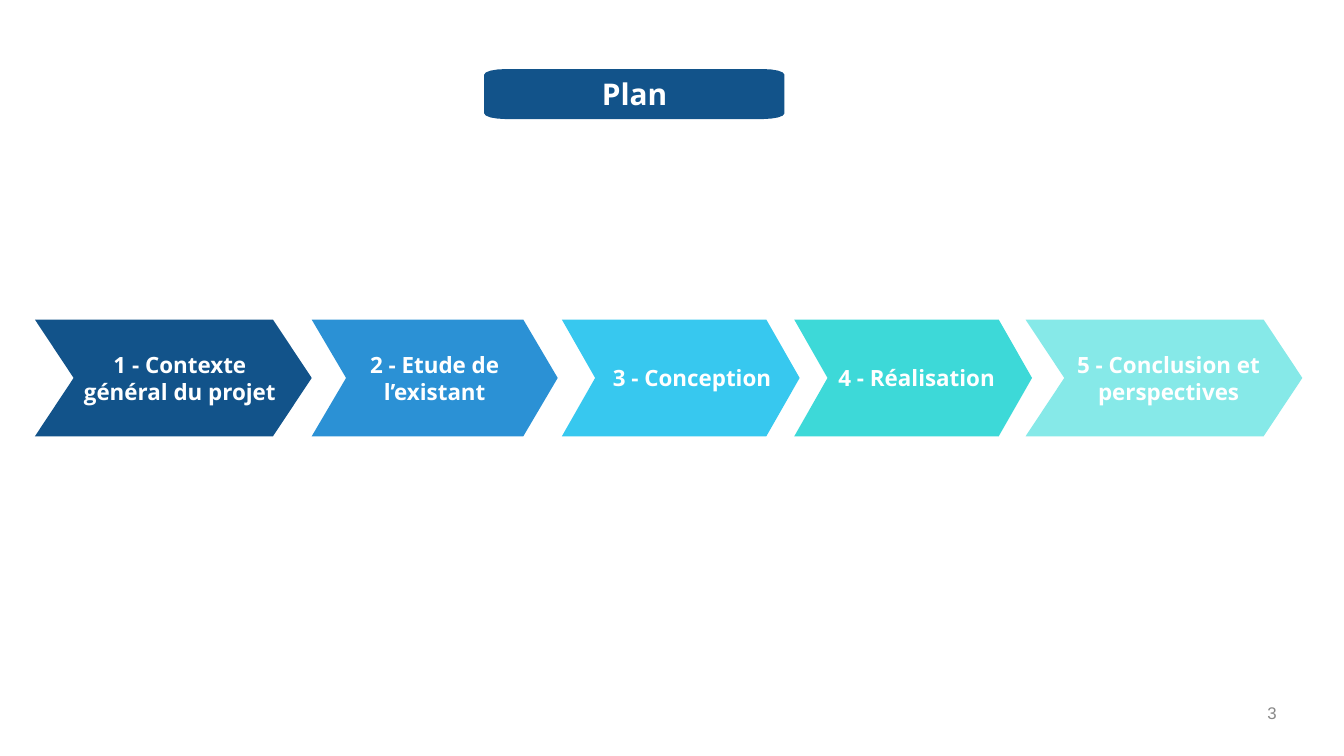
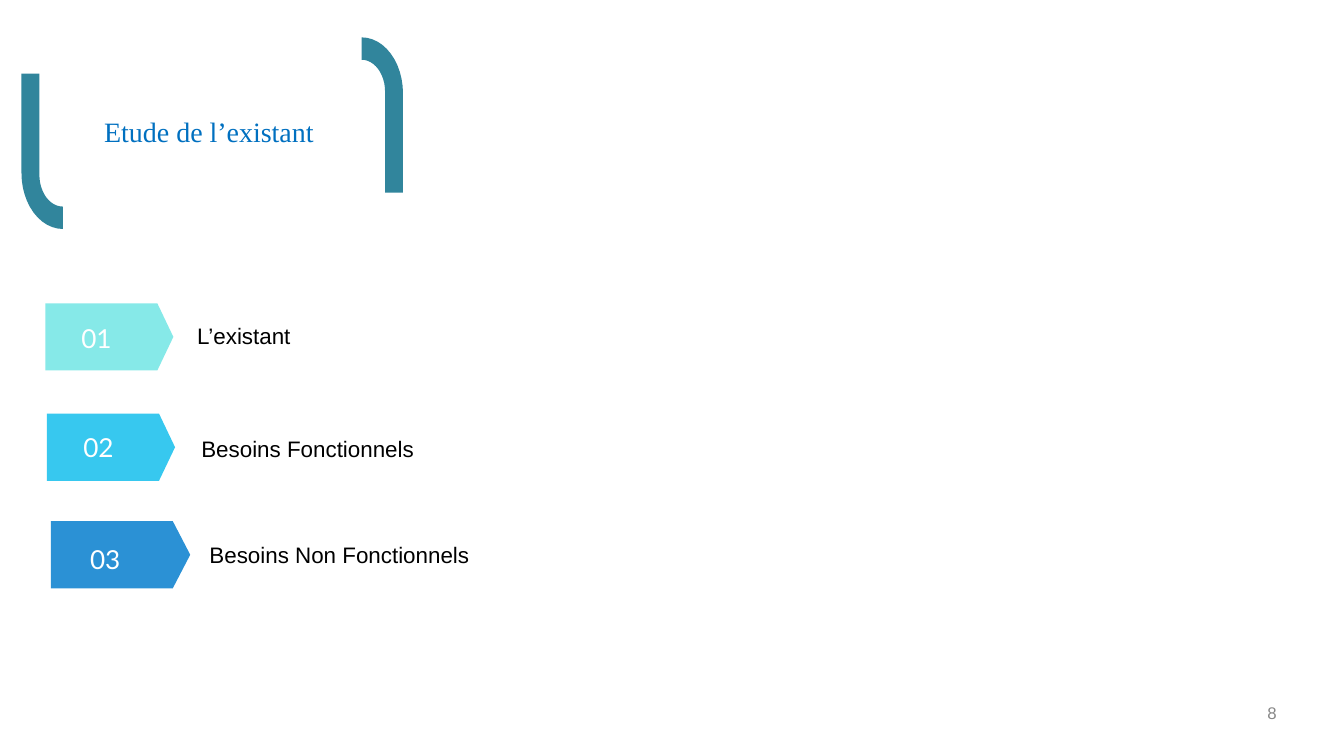
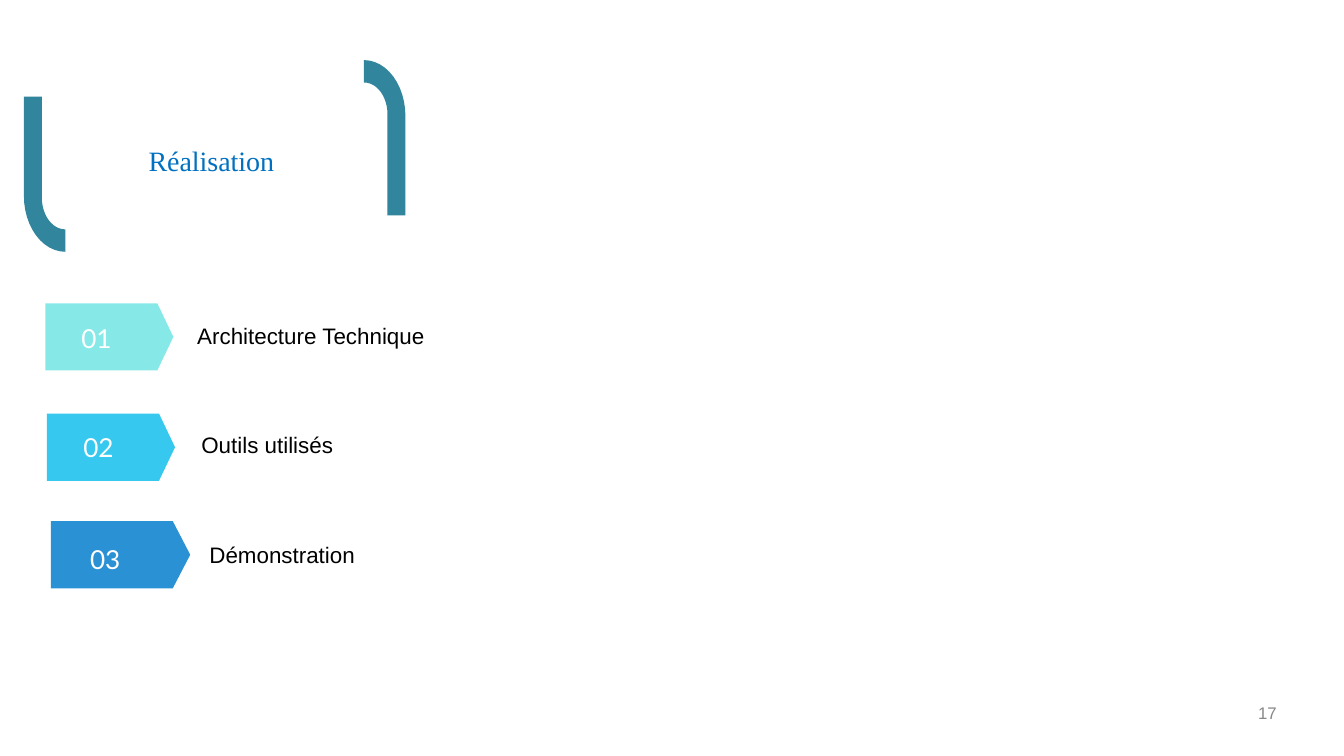
from math import cos, pi, sin

from pptx import Presentation
from pptx.dml.color import RGBColor
from pptx.enum.shapes import MSO_SHAPE
from pptx.enum.text import MSO_ANCHOR, MSO_AUTO_SIZE, PP_ALIGN
from pptx.util import Pt

CHEVRON, TAG = MSO_SHAPE.CHEVRON, MSO_SHAPE.PENTAGON
LEFT, CENTER, RIGHT = PP_ALIGN.LEFT, PP_ALIGN.CENTER, PP_ALIGN.RIGHT
TOP, MIDDLE = MSO_ANCHOR.TOP, MSO_ANCHOR.MIDDLE
FIXED = MSO_AUTO_SIZE.NONE

COLORS = {
    "navy": "12538A", "blue": "2B91D5", "sky": "37C8EF", "teal": "3DD9D8",
    "mint": "86E9E8", "frame": "31859C", "head": "0070C0",
    "white": "FFFFFF", "black": "000000", "gray": "888888",
}
STYLES = {
    "plan": ("Open Sans", 16, "white", True),
    "step": ("Open Sans", 12, "white", True),
    "head": ("Times New Roman", 15, "head", False),
    "item": ("Arial", 12, "black", False),
    "count": ("Lato", 14, "white", False),
    "page": ("Arial", 9, "gray", False),
}
STEPS = [
    ("1 - Contexte général du projet", "navy", 18.7, 148.3, 12.2, 131, 2, CENTER),
    ("2 - Etude de l’existant", "blue", 167, 131.8, 2.2, 127.4, 2, CENTER),
    ("3 - Conception", "sky", 301, 127.4, 15.8, 108, 1, CENTER),
    ("4 - Réalisation", "teal", 425.5, 127.4, 16.6, 108, 1, LEFT),
    ("5 - Conclusion et perspectives", "mint", 549.4, 148.3, 13, 127.4, 2, CENTER),
]
TAGS = [
    ("mint", (24.3, 162.5, 68.6), (9.4, 2.2, 36, 31), (74.3, 227)),
    ("sky", (25.2, 221.6, 68.6), (8.6, 0, 38, 34), (75.6, 153)),
    ("blue", (27.2, 279.2, 74.7), (10.2, 2.2, 38, 34), (77.9, 167)),
]
TAG_HIGH = 36
TOPICS = [
    ("Etude de l’existant", 8, (11.5, 20), 37.5,
     [("L’existant", 6.5), ("Besoins Fonctionnels", 8), ("Besoins Non Fonctionnels", 7.2)]),
    ("Réalisation", 17, (12.8, 32.2), 41,
     [("Architecture Technique", 6.5), ("Outils utilisés", 6), ("Démonstration", 7.2)]),
]


def color(name):
    """Return the named colour."""
    return RGBColor.from_string(COLORS[name])


def place(shape, box):
    """Move and size a shape to a box in points."""
    shape.left, shape.top, shape.width, shape.height = map(Pt, box)


def paint(shape, fill):
    """Give a shape a flat fill with no line or shadow."""
    shape.shadow.inherit = False
    shape.fill.solid()
    shape.fill.fore_color.rgb = color(fill)
    shape.line.fill.background()


def write(shape, text, style, align=LEFT, inset=(7.2, 3.6), anchor=TOP):
    """Set the text of a shape in a named style."""
    frame = shape.text_frame
    frame.word_wrap = True
    frame.auto_size = FIXED
    frame.vertical_anchor = anchor
    frame.margin_left = frame.margin_right = Pt(inset[0])
    frame.margin_top = frame.margin_bottom = Pt(inset[1])
    frame.text = text
    line = frame.paragraphs[0]
    line.alignment = align
    name, size, ink, bold = STYLES[style]
    font = line.font
    font.name, font.size, font.bold = name, Pt(size), bold
    font.color.rgb = color(ink)
    return line


def label(slide, box, *args, **more):
    """Add a text box and return its paragraph."""
    return write(slide.shapes.add_textbox(*map(Pt, box)), *args, **more)


def title(slide, box, text, style):
    """Put the title in its box, in front of other parts."""
    shape = slide.shapes.title
    place(shape, box)
    write(shape, text, style, CENTER)
    shape.element.getparent().append(shape.element)


def arc(mid, radii, start, end, parts):
    """Return points along an elliptic arc, angles in quarter turns."""
    turns = [(start + (end - start) * i / parts) * pi / 2 for i in range(parts + 1)]
    return [(mid[0] + radii[0] * cos(t), mid[1] + radii[1] * sin(t)) for t in turns]


def outline(slide, left, top, points, fill):
    """Draw a closed outline from points relative to its corner."""
    dots = [(Pt(left + x), Pt(top + y)) for x, y in points]
    pen = slide.shapes.build_freeform(*dots[0], scale=1.0)
    pen.add_line_segments(dots[1:], close=True)
    paint(pen.convert_to_shape(), fill)


def plate(slide, box, text):
    """Draw the title plate with flat rounded corners."""
    left, top, wide, high = box
    rx, ry = 11.5, 3
    mids = [(wide - rx, high - ry), (rx, high - ry), (rx, ry), (wide - rx, ry)]
    points = [dot for i, mid in enumerate(mids) for dot in arc(mid, (rx, ry), i, i + 1, 4)]
    outline(slide, left, top, points, "navy")
    title(slide, (left + 26.6, top, 108, high), text, "plan")


def step(slide, top, high, data):
    """Draw one chevron of the plan with its label."""
    text, fill, left, wide, shift, span, lines, align = data
    shape = slide.shapes.add_shape(CHEVRON, *map(Pt, (left, top, wide, high)))
    shape.adjustments[0] = 0.14 * wide / high
    paint(shape, fill)
    tall = 7.2 + 14.4 * lines
    label(slide, (left + shift, top + (high - tall) / 2, span, tall), text, "step", align)


def heading(slide, left, top, drop, text):
    """Draw a title between two hooked bars."""
    wide, high = 22.2, 83.2
    hook = arc((0, 30), (wide, 30), -1, 0, 12) + [(wide, high), (12.6, high)]
    hook += arc((0, 29), (12.6, 17), 0, -1, 12)
    turned = [(wide - x, high - y) for x, y in hook]
    outline(slide, left + 182.2, top, hook, "frame")
    outline(slide, left, top + 19.5, turned, "frame")
    title(slide, (left, top + drop, 201, 25), text, "head")


def item(slide, count, data, text, drop):
    """Draw one numbered tag with its text."""
    fill, (left, top, wide), (dx, dy, span, tall), (shift, room) = data
    shape = slide.shapes.add_shape(TAG, *map(Pt, (left, top, wide, TAG_HIGH)))
    shape.adjustments[0] = 0.125 * wide / TAG_HIGH
    paint(shape, fill)
    label(slide, (left + shift, top + drop, room, 21.6), text, "item")
    line = label(slide, (left + dx, top + dy, span, tall), f"{count:02}", "count",
                 CENTER, (2, 2), MIDDLE)
    line.line_spacing = Pt(18.8)


def start(deck, page):
    """Add a slide with its page number."""
    slide = deck.slides.add_slide(deck.slide_layouts[5])
    label(slide, (518.4, 376.6, 165.6, 11), str(page), "page", RIGHT, (0, 0))
    return slide


def plan(deck):
    """Build the plan slide."""
    slide = start(deck, 3)
    for data in STEPS:
        step(slide, 171.2, 62.6, data)
    plate(slide, (259.4, 37, 160.8, 26.8), "Plan")


def topic(deck, text, page, spot, drop, items):
    """Build a slide that lists the parts of a topic."""
    slide = start(deck, page)
    heading(slide, *spot, drop, text)
    for count, (data, entry) in enumerate(zip(TAGS, items), 1):
        item(slide, count, data, *entry)


def main():
    """Build and save the deck."""
    deck = Presentation()
    deck.slide_width, deck.slide_height = Pt(720), Pt(405)
    plan(deck)
    for data in TOPICS:
        topic(deck, *data)
    deck.save("out.pptx")


if __name__ == "__main__":
    main()
